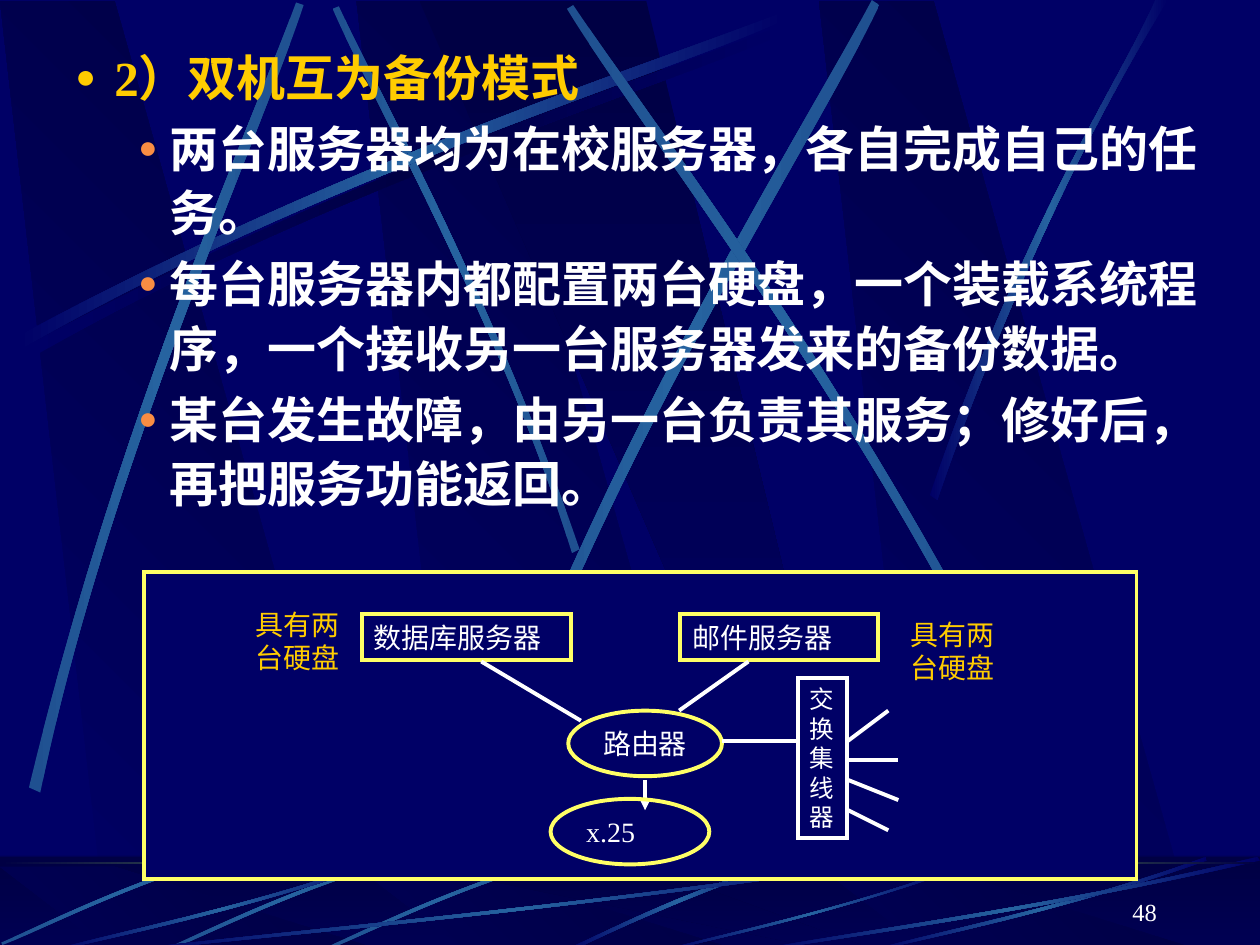
import pptx
import pptx.dml.color
import pptx.enum.shapes
import pptx.enum.text
import pptx.oxml.ns
import pptx.util
from lxml import etree

RGBColor = pptx.dml.color.RGBColor
NAVY = RGBColor(0x00, 0x00, 0x66)
DARK = RGBColor(0x00, 0x00, 0x44)
TEAL = RGBColor(0x26, 0x63, 0xA0)
DEEP_TEAL = RGBColor(0x1F, 0x50, 0x90)
GREEN = RGBColor(0x9C, 0xE1, 0x57)
GOLD = RGBColor(0xFF, 0xCC, 0x00)
ORANGE = RGBColor(0xF9, 0x8D, 0x43)
YELLOW = RGBColor(0xFF, 0xFF, 0x66)
WHITE = RGBColor(0xFF, 0xFF, 0xFF)
FONT = "Times New Roman"
ANCHOR = pptx.enum.text.MSO_ANCHOR
RECTANGLE = pptx.enum.shapes.MSO_SHAPE.RECTANGLE
OVAL = pptx.enum.shapes.MSO_SHAPE.OVAL
FADED = (NAVY, TEAL, NAVY)
BRIGHT = (DEEP_TEAL, TEAL, DEEP_TEAL)

WALL_STREAKS = [
    (BRIGHT, [(4.6, 4.36), (3.91, 2.34), (3.02, 0.77), (2.69, 0.05),
              (2.64, 0.07), (2.95, 0.79), (3.98, 2.58), (4.54, 4.39)]),
    (FADED, [(0.14, 2.67), (2.78, 1.25), (5.18, 0.51), (6.2, 0.1),
             (6.23, 0.16), (5.22, 0.61), (2.48, 1.43), (0.17, 2.77)]),
    (BRIGHT, [(0.23, 6.25), (0.93, 3.34), (1.97, 1.05), (2.35, 0.02),
              (2.41, 0.04), (2.07, 1.08), (0.86, 3.68), (0.32, 6.29)]),
    (BRIGHT, [(3.85, 6.14), (4.98, 3.2), (6.38, 1.02), (6.92, 0),
              (6.98, 0.04), (6.49, 1.08), (4.86, 3.55), (3.94, 6.21)]),
    (BRIGHT, [(8.06, 5.6), (6.7, 2.93), (5.16, 0.95), (4.55, 0.04),
              (4.5, 0.07), (5.07, 1.01), (6.85, 3.25), (7.99, 5.66)]),
    (FADED, [(7.38, 3.93), (8.14, 1.73), (8.88, 0.66), (9.17, 0),
             (9.27, 0), (8.36, 1.45), (7.69, 3.22), (7.44, 3.97)]),
]
WALL_SHADE = [(0.2, 2.75), (2.84, 1.34), (5.24, 0.59), (6.26, 0.18),
              (6.29, 0.24), (5.28, 0.69), (2.54, 1.51), (0.23, 2.85)]
SHORT_RAY = [(3.17, 6.8), (2.3, 7.05), (1.62, 7.4), (1.31, 7.53),
             (1.32, 7.55), (1.63, 7.43), (2.4, 7.03), (3.19, 6.83)]
LONG_RAY = [(3.08, 6.83), (1.93, 7.23), (0.88, 7.44), (0.43, 7.55),
            (0.42, 7.54), (0.86, 7.41), (2.06, 7.18), (3.07, 6.8)]
FLOOR_STREAKS = [
    (FADED, [(6.27, 6.82), (5.37, 7.09), (4.77, 7.42), (4.48, 7.54),
             (4.53, 7.55), (4.9, 7.37), (5.71, 7), (6.28, 6.85)]),
    (BRIGHT, [(x + 1.25, y) for x, y in SHORT_RAY]),
    (BRIGHT, SHORT_RAY),
    (BRIGHT, [(x - 1.3, y - 0.05) for x, y in SHORT_RAY]),
    (FADED, [(7.17, 6.83), (4.49, 7.23), (2.06, 7.44), (1.03, 7.55),
             (1, 7.54), (2.02, 7.41), (4.8, 7.18), (7.14, 6.8)]),
    (FADED, LONG_RAY),
    (FADED, [(7.58, 6.91), (6.58, 7.26), (5.67, 7.45), (5.28, 7.55),
             (5.27, 7.54), (5.65, 7.43), (6.69, 7.22), (7.57, 6.89)]),
    (FADED, [(x + 6.5, y) for x, y in LONG_RAY]),
    (FADED, [(10, 6.83), (8.27, 7.23), (6.69, 7.44), (6.02, 7.55),
             (6, 7.54), (6.66, 7.41), (8.46, 7.18), (9.98, 6.8)]),
]


def lengths(*inches):
    """Turn inches into slide lengths."""
    return [pptx.util.Cm(2.54 * value) for value in inches]


def add_element(parent, name, **attributes):
    """Append a DrawingML child element."""
    return etree.SubElement(parent, pptx.oxml.ns.qn("a:" + name), attributes)


def fill_gradient(shape, colors, angle):
    """Fill a shape with evenly spaced gradient stops, angle clockwise."""
    shape.shadow.inherit = False
    shape.line.fill.background()
    shape.fill.gradient()
    shape.fill.gradient_angle = (360 - angle) % 360
    stops = shape._element.spPr.find(".//" + pptx.oxml.ns.qn("a:gsLst"))
    for stop in list(stops):
        stops.remove(stop)
    for index, color in enumerate(colors):
        position = index * 100000 // (len(colors) - 1)
        add_element(add_element(stops, "gs", pos=str(position)), "srgbClr", val=str(color))


def add_polygon(slide, points, colors, angle):
    """Draw a closed outline with a gradient."""
    corners = [lengths(*point) for point in points]
    builder = slide.shapes.build_freeform(*corners[0])
    builder.add_line_segments(corners[1:], close=True)
    shape = builder.convert_to_shape()
    fill_gradient(shape, colors, angle)
    return shape


def add_streak(slide, colors, points):
    """Draw a sliver between two cubic curves."""
    shape = add_polygon(slide, points, colors, 0)
    segments = list(shape._element.spPr.iter(pptx.oxml.ns.qn("a:lnTo")))
    for first in (0, 4):
        curve = etree.Element(pptx.oxml.ns.qn("a:cubicBezTo"))
        segments[first].addprevious(curve)
        for segment in segments[first:first + 3]:
            curve.append(segment[0])
            segment.getparent().remove(segment)


def add_panels(slide, top, bottom):
    """Draw the slanted panels of the wall or the floor."""
    for left in (2.83, 0, 6.5):
        add_polygon(slide, [(left + 0.86, bottom), (left + 3.02, bottom),
                            (left + 0.91, top), (left, top)], (NAVY, DARK), 315)
    add_polygon(slide, [(3.33, top), (6.58, bottom), (6.94, bottom), (5.13, top)],
                (DARK, NAVY), 90)


def add_band(slide, top, height, colors, angle):
    """Draw a gradient strip across the slide."""
    shape = slide.shapes.add_shape(RECTANGLE, *lengths(0, top, 10, height))
    fill_gradient(shape, colors, angle)
    return shape


def add_backdrop(slide):
    """Draw the wall, the floor and the horizon."""
    slide.background.fill.solid()
    slide.background.fill.fore_color.rgb = NAVY
    add_panels(slide, 0.01, 7.52)
    add_streak(slide, (NAVY, DARK, NAVY), WALL_SHADE)
    for colors, points in WALL_STREAKS:
        add_streak(slide, colors, points)
    add_band(slide, 6.8, 0.75, (DARK, NAVY), 90)
    add_panels(slide, 6.88, 7.54)
    veil = add_band(slide, 6.79, 0.75, (DARK, DARK), 0)
    veil.fill.solid()
    veil.fill.fore_color.rgb = DARK
    color = veil._element.spPr.find(".//" + pptx.oxml.ns.qn("a:srgbClr"))
    add_element(color, "alpha", val="50000")
    for colors, points in FLOOR_STREAKS:
        add_streak(slide, colors, points)
    add_band(slide, 6.84, 0.02, (DARK, GREEN, DARK), 0)


def set_font(paragraph, size, color, bold=False):
    """Format a whole paragraph."""
    paragraph.font.name = FONT
    paragraph.font.size = pptx.util.Pt(size)
    paragraph.font.bold = bold
    paragraph.font.color.rgb = color


def write_text(shape, text, size, color, anchor, wrap=True, align=pptx.enum.text.PP_ALIGN.LEFT):
    """Write one paragraph for each line of the text."""
    frame = shape.text_frame
    frame.word_wrap = wrap
    frame.vertical_anchor = anchor
    frame.text = text
    for paragraph in frame.paragraphs:
        paragraph.alignment = align
        set_font(paragraph, size, color)


def add_label(slide, box, text, size, color, anchor=ANCHOR.TOP, **options):
    """Add a free text label."""
    label = slide.shapes.add_textbox(*lengths(*box))
    write_text(label, text, size, color, anchor, **options)
    return label


def add_node(slide, kind, box, text="", color=YELLOW, size=16, wrap=True):
    """Add an outlined shape of the diagram."""
    shape = slide.shapes.add_shape(kind, *lengths(*box))
    shape.shadow.inherit = False
    shape.fill.background()
    shape.line.color.rgb = color
    shape.line.width = pptx.util.Pt(2.25)
    add_element(shape.line._get_or_add_ln(), "miter", lim="800000")
    if text:
        write_text(shape, text, size, WHITE, ANCHOR.MIDDLE, wrap)
    return shape


def add_link(slide, ends, arrow=False):
    """Add a straight white line."""
    straight = pptx.enum.shapes.MSO_CONNECTOR.STRAIGHT
    connector = slide.shapes.add_connector(straight, *lengths(*ends))
    connector.line.color.rgb = WHITE
    connector.line.width = pptx.util.Pt(2.25)
    if arrow:
        add_element(connector.line._get_or_add_ln(), "tailEnd", type="triangle")
    add_element(connector._element.spPr, "effectLst")


def add_bullets(slide):
    """Add the heading bullet and its three points."""
    frame = slide.shapes.add_textbox(*lengths(0, 0.28, 9.73, 4.06)).text_frame
    frame.word_wrap = True
    frame.text = "\n".join([
        "2）双机互为备份模式",
        "两台服务器均为在校服务器，各自完成自己的任务。",
        "每台服务器内都配置两台硬盘，一个装载系统程序，一个接收另一台服务器发来的备份数据。",
        "某台发生故障，由另一台负责其服务；修好后，再把服务功能返回。"])
    for index, paragraph in enumerate(frame.paragraphs):
        level = min(index, 1)
        margin, hanging, scale, bullet, color = [
            (0.81, -0.31, "70000", GOLD, GOLD), (1.25, -0.25, "65000", ORANGE, WHITE)][level]
        paragraph.level = level
        paragraph.line_spacing = 1.1
        if index:
            paragraph.space_before = pptx.util.Pt(3.5)
        properties = paragraph._p.get_or_add_pPr()
        for name, value in zip(("marL", "indent"), lengths(margin, hanging)):
            properties.set(name, str(value))
        add_element(add_element(properties, "buClr"), "srgbClr", val=str(bullet))
        add_element(properties, "buSzPct", val=scale)
        add_element(properties, "buFont", typeface=FONT)
        add_element(properties, "buChar", char="●")
        set_font(paragraph, 28, color, bold=True)


def add_diagram(slide):
    """Draw the network of the two servers."""
    frame = add_node(slide, RECTANGLE, (1.14, 4.54, 7.88, 2.44))
    frame.fill.solid()
    frame.fill.fore_color.rgb = NAVY
    add_node(slide, RECTANGLE, (2.87, 4.87, 1.66, 0.37), "数据库服务器")
    add_node(slide, RECTANGLE, (5.4, 4.87, 1.57, 0.37), "邮件服务器")
    for left, top in ((1.93, 4.77), (7.13, 4.85)):
        label = add_label(slide, (left, top, 0.87, 0.64), "具有两\n台硬盘", 16, GOLD, wrap=False)
        label.text_frame.auto_size = pptx.enum.text.MSO_AUTO_SIZE.SHAPE_TO_FIT_TEXT
    add_node(slide, OVAL, (4.51, 5.64, 1.22, 0.52), "路由器", wrap=False)
    add_node(slide, RECTANGLE, (6.33, 5.38, 0.39, 1.27), "\n".join("交换集线器"),
             WHITE, 14, wrap=False)
    for ends in ((3.82, 5.25, 4.61, 5.72), (5.94, 5.25, 5.39, 5.64), (5.73, 5.88, 6.33, 5.88),
                 (6.73, 5.88, 7.05, 5.64), (6.73, 6.03, 7.13, 6.03),
                 (6.73, 6.19, 7.13, 6.35), (6.73, 6.43, 7.05, 6.59)):
        add_link(slide, ends)
    add_link(slide, (5.12, 6.19, 5.12, 6.43), arrow=True)
    add_node(slide, OVAL, (4.37, 6.34, 1.26, 0.52), "x.25")


def main():
    """Build the slide and save it."""
    presentation = pptx.Presentation()
    presentation.slide_width, presentation.slide_height = lengths(10, 7.5)
    slide = presentation.slides.add_slide(presentation.slide_layouts[6])
    add_backdrop(slide)
    add_bullets(slide)
    add_diagram(slide)
    add_label(slide, (7.2, 6.9, 2.08, 0.5), "48", 14, WHITE, ANCHOR.BOTTOM,
              align=pptx.enum.text.PP_ALIGN.RIGHT)
    presentation.save("out.pptx")


if __name__ == "__main__":
    main()
